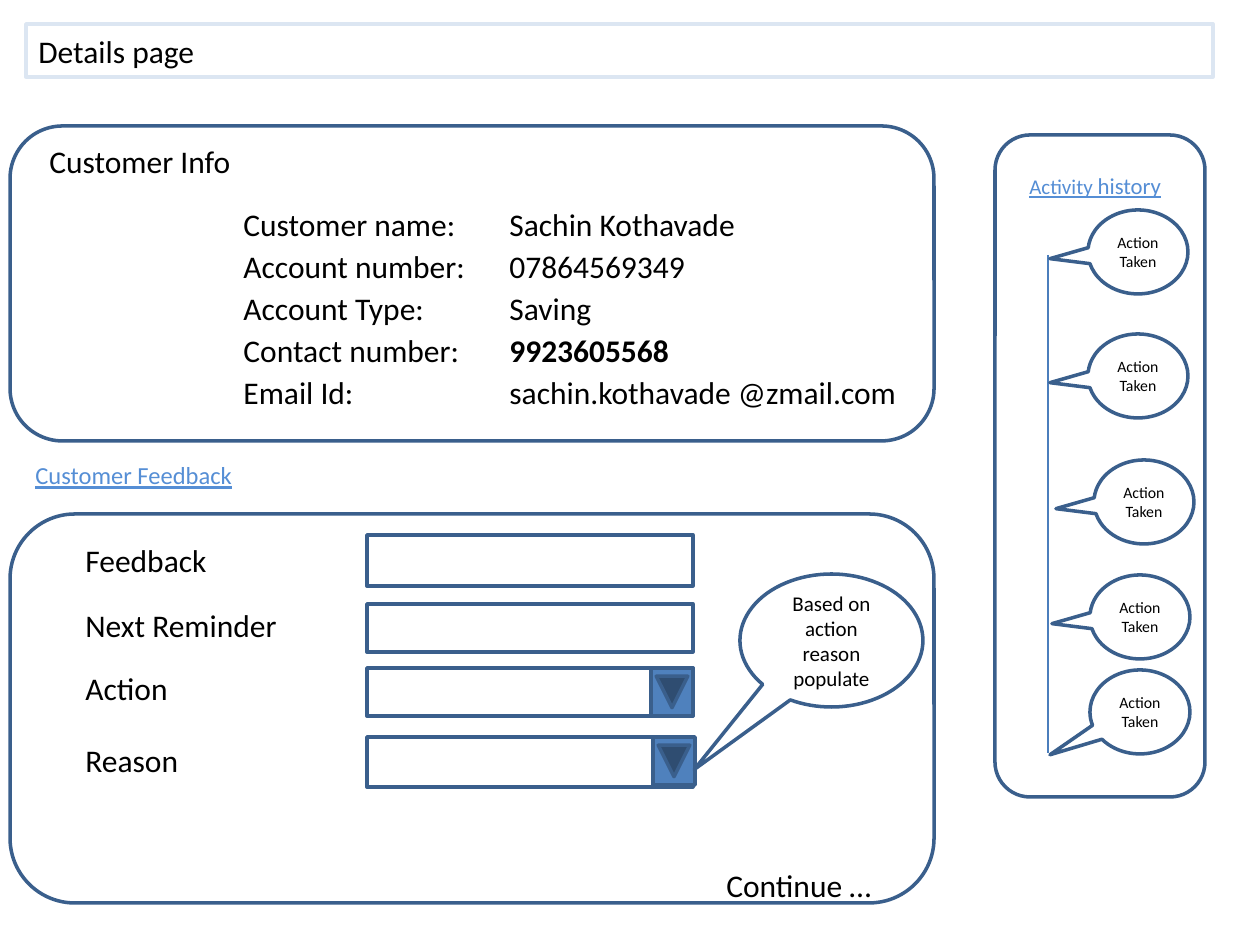
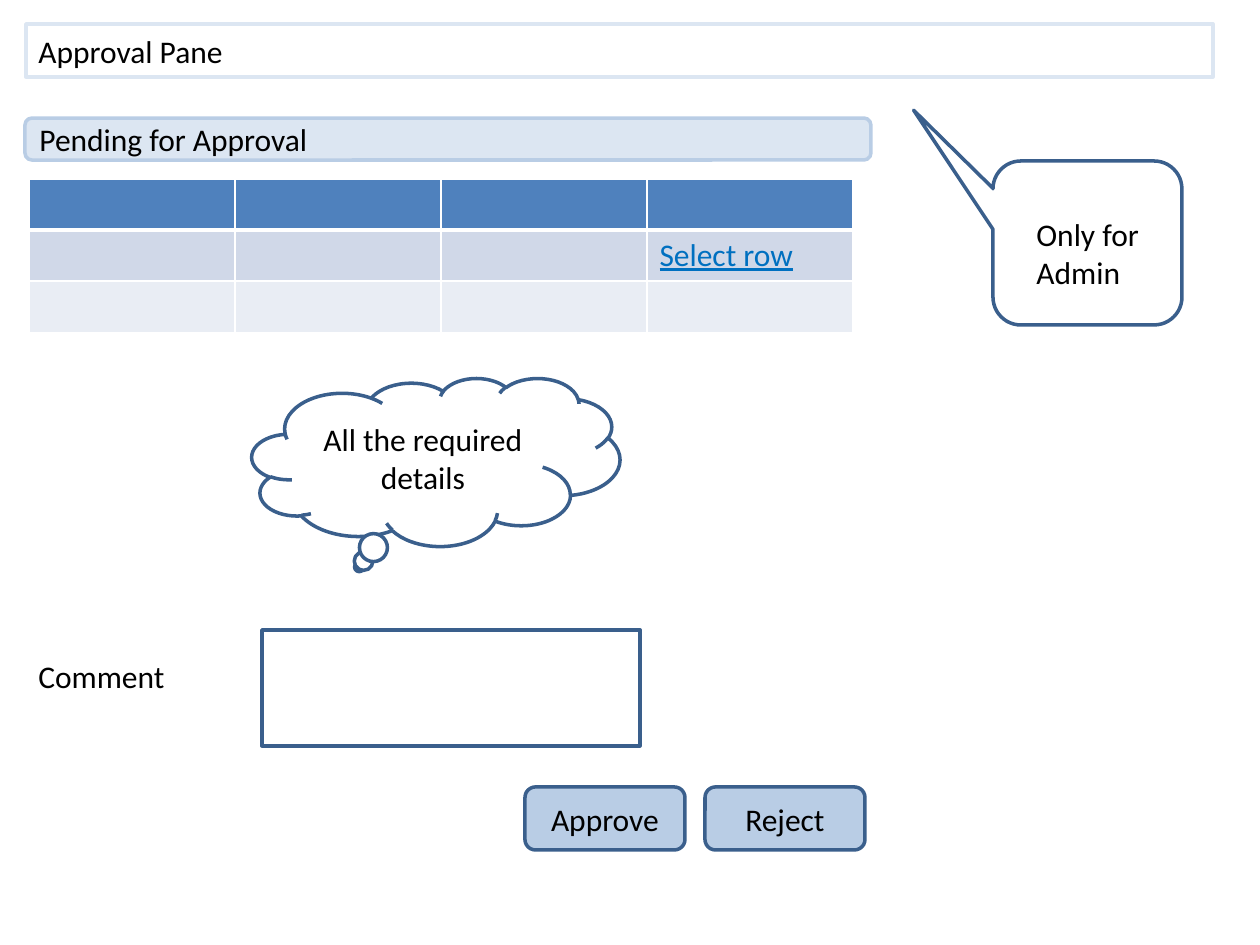
from dataclasses import dataclass

from lxml.etree import SubElement
from pptx import Presentation
from pptx.dml.color import RGBColor
from pptx.enum.shapes import MSO_CONNECTOR, MSO_SHAPE
from pptx.enum.text import MSO_ANCHOR, PP_ALIGN
from pptx.oxml.ns import qn
from pptx.util import Emu, Pt

EMU_PER_PX = 914400 / 126
FONT = "Calibri"
WHITE = RGBColor(0xFF, 0xFF, 0xFF)
BLACK = RGBColor(0x00, 0x00, 0x00)
OUTLINE = RGBColor(0x3A, 0x5F, 0x8C)
ACCENT = RGBColor(0x4F, 0x81, 0xBD)
TIMELINE = RGBColor(0x4B, 0x7E, 0xBC)
PALE = RGBColor(0xDC, 0xE6, 0xF2)
LIGHT = RGBColor(0xB9, 0xCD, 0xE5)
LINK = RGBColor(0x55, 0x8E, 0xD5)
ROW_LINK = RGBColor(0x00, 0x70, 0xC0)
ROW_FILLS = (ACCENT, RGBColor(0xD0, 0xD8, 0xE8), RGBColor(0xE9, 0xED, 0xF4))


@dataclass(frozen=True)
class Box:
    x: int
    y: int
    w: int
    h: int

    def emu(self) -> tuple:
        return px(self.x), px(self.y), px(self.w), px(self.h)


@dataclass(frozen=True)
class Detail:
    label: str
    value: str
    y: int
    bold: bool = False


@dataclass(frozen=True)
class Field:
    label: str
    label_y: int
    box: Box
    dropdown_x: int = 0


@dataclass(frozen=True)
class Bubble:
    box: Box
    tail: tuple
    text: str = "Action Taken"
    size: int = 9


def px(n: float) -> Emu:
    return Emu(round(n * EMU_PER_PX))


def style(p, size: int = 18, color: RGBColor = BLACK, underline: bool = False) -> None:
    p.font.name = FONT
    p.font.size = Pt(size)
    p.font.color.rgb = color
    if underline:
        p.font.underline = True


def add_box(s, kind, box: Box, text: str = "", fill=WHITE, line=OUTLINE, size: int = 18,
            align=PP_ALIGN.CENTER, adj: tuple = ()):
    sp = s.shapes.add_shape(kind, *box.emu())
    sp.shadow.inherit = False
    sp.fill.solid()
    sp.fill.fore_color.rgb = fill
    sp.line.color.rgb = line
    sp.line.width = Pt(2)
    for i, value in enumerate(adj):
        sp.adjustments[i] = value
    if text:
        tf = sp.text_frame
        tf.word_wrap = True
        tf.vertical_anchor = MSO_ANCHOR.MIDDLE
        p = tf.paragraphs[0]
        p.text = text
        p.alignment = align
        style(p, size)
    return sp


def add_text(s, box: Box, text: str, size: int = 18, color: RGBColor = BLACK,
             underline: bool = False):
    tb = s.shapes.add_textbox(*box.emu())
    tb.text_frame.word_wrap = True
    p = tb.text_frame.paragraphs[0]
    p.text = text
    style(p, size, color, underline)
    return tb


def add_title(s, text: str) -> None:
    add_box(s, MSO_SHAPE.RECTANGLE, Box(26, 24, 1187, 53), text, line=PALE, align=PP_ALIGN.LEFT)


def add_detail(s, d: Detail) -> None:
    tb = add_text(s, Box(231, d.y, 840, 50), d.label + "\t")
    p = tb.text_frame.paragraphs[0]
    r = p.add_run()
    r.text = d.value
    if d.bold:
        r.font.bold = True
    tabs = SubElement(p._p.get_or_add_pPr(), qn("a:tabLst"))
    p._p.pPr.insert(0, tabs)
    SubElement(tabs, qn("a:tab"), pos=str(px(266)), algn="l")


def add_field(s, f: Field) -> None:
    add_text(s, Box(73, f.label_y, 247, 50), f.label)
    add_box(s, MSO_SHAPE.RECTANGLE, f.box)
    if f.dropdown_x:
        button = Box(f.dropdown_x, f.box.y + 3, 48, 42)
        sp = add_box(s, MSO_SHAPE.ACTION_BUTTON_FORWARD_OR_NEXT, button, fill=ACCENT)
        sp.rotation = 90


def add_bubble(s, b: Bubble) -> None:
    add_box(s, MSO_SHAPE.OVAL_CALLOUT, b.box, b.text, size=b.size, adj=b.tail)


def add_line(s, x1: int, y1: int, x2: int, y2: int) -> None:
    c = s.shapes.add_connector(MSO_CONNECTOR.STRAIGHT, px(x1), px(y1), px(x2), px(y2))
    c.line.color.rgb = TIMELINE
    c.line.width = Pt(0.75)
    SubElement(c._element.spPr, qn("a:effectLst"))


def set_borders(cell, bottom: int) -> None:
    tcPr = cell._tc.get_or_add_tcPr()
    for side, width in (("L", 1), ("R", 1), ("T", 1), ("B", bottom)):
        ln = SubElement(tcPr, qn(f"a:ln{side}"), w=str(Pt(width)))
        fill = SubElement(ln, qn("a:solidFill"))
        SubElement(fill, qn("a:srgbClr"), val=str(WHITE))


def add_pending_table(s) -> None:
    table = s.shapes.add_table(3, 4, *Box(29, 179, 824, 153).emu()).table
    for i, color in enumerate(ROW_FILLS):
        for cell in table.rows[i].cells:
            set_borders(cell, 3 if i == 0 else 1)
            cell.fill.solid()
            cell.fill.fore_color.rgb = color
    p = table.cell(1, 3).text_frame.paragraphs[0]
    p.text = "Select row"
    style(p, 18, ROW_LINK, True)


DETAILS = (
    Detail("Customer name:", "Sachin Kothavade", 199),
    Detail("Account number:", "07864569349", 241),
    Detail("Account Type:", "Saving", 283),
    Detail("Contact number:", "9923605568", 325, True),
    Detail("Email Id:", "sachin.kothavade @zmail.com", 367),
)
FIELDS = (
    Field("Feedback", 535, Box(367, 535, 326, 51)),
    Field("Next Reminder", 600, Box(367, 604, 326, 48)),
    Field("Action", 663, Box(367, 668, 326, 48), 648),
    Field("Reason", 735, Box(367, 737, 326, 50), 650),
)
SIDE_TAIL = (-0.88, 0.08)
HISTORY = [Bubble(Box(x, y, 100, 84), tail) for x, y, tail in (
    (1088, 210, SIDE_TAIL),
    (1088, 334, SIDE_TAIL),
    (1094, 460, SIDE_TAIL),
    (1090, 575, SIDE_TAIL),
    (1090, 670, (-0.9, 0.51)),
)]
REASON_NOTE = Bubble(Box(740, 574, 183, 133), (-0.75, 0.97), "Based on action reason populate", 12)


def build_details(prs) -> None:
    s = prs.slides.add_slide(prs.slide_layouts[6])
    add_title(s, "Details page")
    for panel in (Box(10, 126, 924, 315), Box(995, 135, 210, 662), Box(10, 514, 924, 389)):
        add_box(s, MSO_SHAPE.ROUNDED_RECTANGLE, panel)
    add_text(s, Box(37, 136, 246, 53), "Customer Info")
    for d in DETAILS:
        add_detail(s, d)
    add_line(s, 1048, 255, 1048, 753)
    heading = add_text(s, Box(1017, 166, 176, 40), "Activity ", 12, LINK, True)
    r = heading.text_frame.paragraphs[0].add_run()
    r.text = "history"
    r.font.size = Pt(13)
    for b in HISTORY:
        add_bubble(s, b)
    add_text(s, Box(23, 454, 249, 43), "Customer Feedback", 14, LINK, True)
    for f in FIELDS:
        add_field(s, f)
    add_bubble(s, REASON_NOTE)
    add_text(s, Box(714, 860, 189, 50), "Continue …")


def build_approval(prs) -> None:
    s = prs.slides.add_slide(prs.slide_layouts[6])
    add_title(s, "Approval Pane")
    add_box(s, MSO_SHAPE.ROUNDED_RECTANGLE, Box(25, 118, 846, 42), "Pending for Approval",
            PALE, LIGHT, align=PP_ALIGN.LEFT)
    add_pending_table(s)
    add_box(s, MSO_SHAPE.CLOUD_CALLOUT, Box(252, 378, 368, 168), "All the required details")
    add_text(s, Box(26, 651, 277, 50), "Comment")
    add_box(s, MSO_SHAPE.RECTANGLE, Box(262, 630, 378, 116))
    for i, label in enumerate(("Approve", "Reject")):
        add_box(s, MSO_SHAPE.ROUNDED_RECTANGLE, Box(525 + 180 * i, 787, 160, 63), label, LIGHT)
    add_box(s, MSO_SHAPE.ROUNDED_RECTANGULAR_CALLOUT, Box(993, 161, 189, 164),
            adj=(-0.92, -0.81, 0.17))
    add_text(s, Box(1024, 209, 158, 89), "Only for Admin")


prs = Presentation()
prs.slide_width, prs.slide_height = px(1260), px(945)
build_details(prs)
build_approval(prs)
prs.save("out.pptx")
